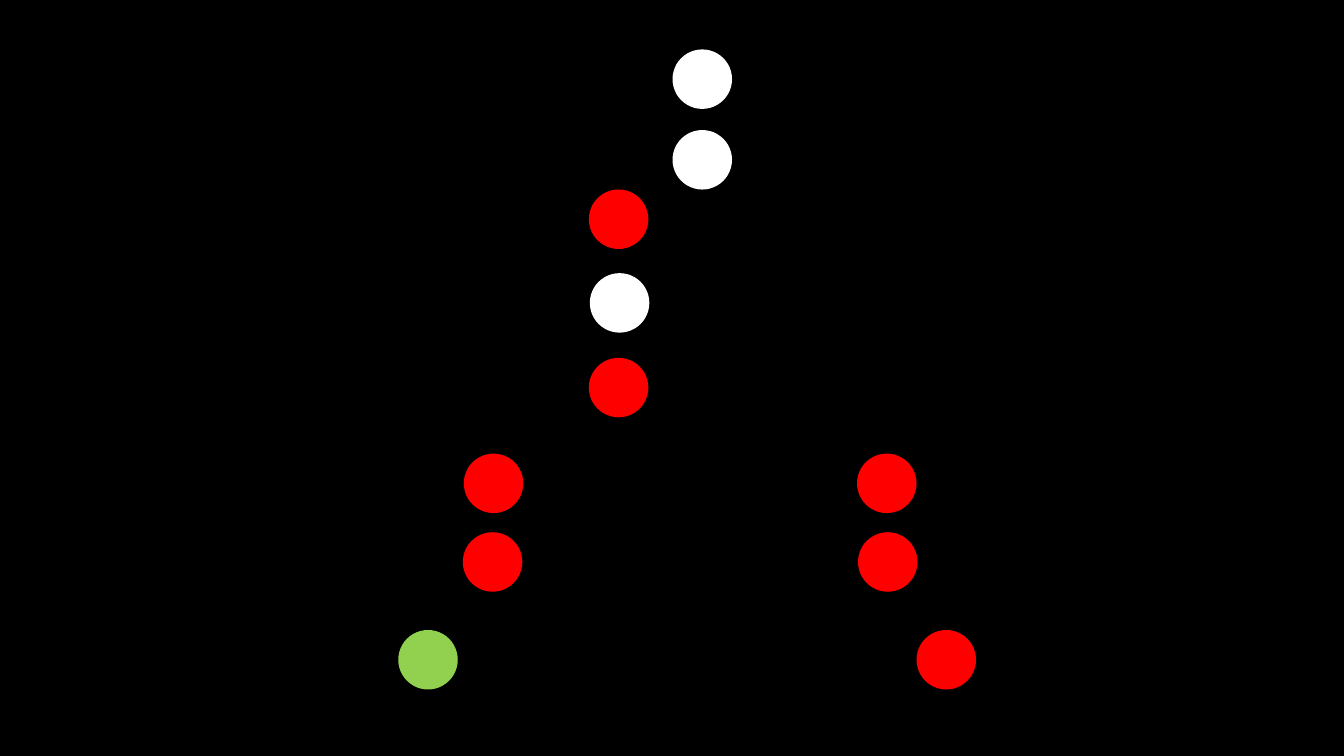
from pptx import Presentation
from pptx.dml.color import RGBColor
from pptx.enum import shapes
from pptx.util import Inches


def paint(fill, color):
    fill.solid()
    fill.fore_color.rgb = RGBColor.from_string(color)


WHITE, RED, GREEN = "FFFFFF", "FF0000", "92D050"
DIAMETER = Inches(0.59)

lights = [
    (5.85, 2.71, WHITE),
    (5.84, 1.88, RED),
    (8.5, 4.5, RED),
    (5.84, 3.55, RED),
    (8.51, 5.28, RED),
    (4.6, 4.5, RED),
    (4.59, 5.28, RED),
    (6.67, 1.29, WHITE),
    (6.67, 0.49, WHITE),
    (3.95, 6.25, GREEN),
    (9.09, 6.25, RED),
]

presentation = Presentation()
presentation.slide_width = Inches(13.33)
presentation.slide_height = Inches(7.5)
slide = presentation.slides.add_slide(presentation.slide_layouts[6])
paint(slide.background.fill, "000000")

for left, top, color in lights:
    shape = slide.shapes.add_shape(
        shapes.MSO_SHAPE.FLOWCHART_CONNECTOR,
        Inches(left), Inches(top), DIAMETER, DIAMETER,
    )
    shape.shadow.inherit = False
    paint(shape.fill, color)
    shape.line.fill.background()

presentation.save("out.pptx")
